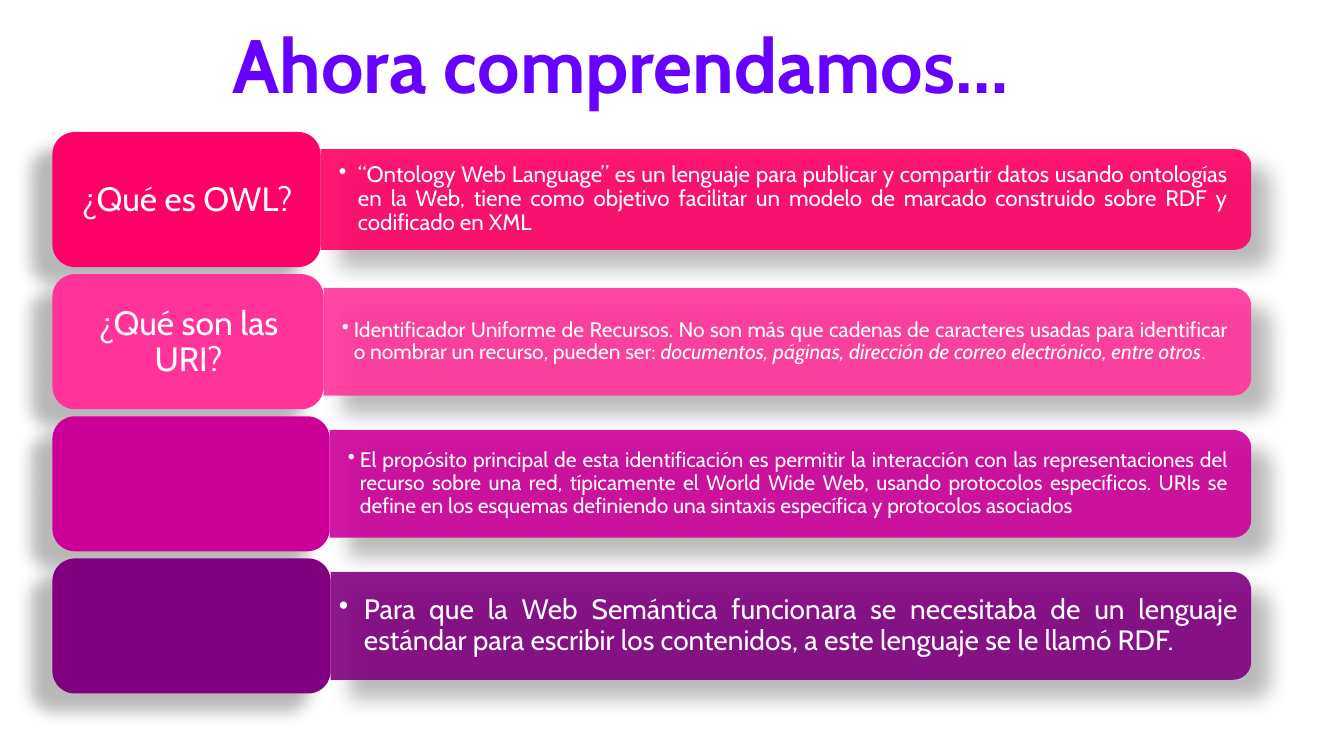
from pptx import Presentation
from pptx.dml.color import RGBColor
from pptx.enum.shapes import MSO_SHAPE
from pptx.enum.text import MSO_ANCHOR, MSO_AUTO_SIZE, PP_ALIGN
from pptx.oxml import parse_xml
from pptx.oxml.ns import nsdecls, qn
from pptx.util import Inches, Pt

LEFT, RIGHT = 0.52, 12.41
FIRST, STEP = 1.98, 1.41
TALL = 1.34
ROWS = [
    ("FF0066", 2.66, 1.0, "¿Qué es OWL?", 16, 0.19, 0.18,
     ["“Ontology Web Language” es un lenguaje para publicar y compartir datos usando "
      "ontologías en la Web, tiene como objetivo facilitar un modelo de marcado "
      "construido sobre RDF y codificado en XML"]),
    ("FF3399", 2.69, 1.07, "¿Qué son las URI?", 15, 0.12, 0.18,
     ["Identificador Uniforme de Recursos. No son más que cadenas de caracteres usadas "
      "para identificar o nombrar un recurso, pueden ser: ",
      "documentos, páginas, dirección de correo electrónico, entre otros",
      "."]),
    ("CC0099", 2.75, 1.07, "", 15, 0.12, 0.18,
     ["El propósito principal de esta identificación es permitir la interacción con las "
      "representaciones del recurso sobre una red, típicamente el World Wide Web, usando "
      "protocolos específicos. URIs se define en los esquemas definiendo una sintaxis "
      "específica y protocolos asociados"]),
    ("800080", 2.76, 1.07, "", 20, 0.25, 0.08,
     ["Para que la Web Semántica funcionara se necesitaba de un lenguaje estándar para "
      "escribir los contenidos, a este lenguaje se le llamó RDF. "]),
]


def color(code):
    return RGBColor.from_string(code)


def add_block(slide, kind, box, fill, shadow, alpha=100, turn=0):
    shape = slide.shapes.add_shape(kind, *map(Inches, box))
    shape.rotation = turn
    shape.fill.solid()
    shape.fill.fore_color.rgb = color(fill)
    shape.line.fill.background()
    shape.shadow.inherit = False
    if alpha < 100:
        tint = shape._element.spPr.find(qn("a:solidFill"))[0]
        tint.append(parse_xml(f'<a:alpha {nsdecls("a")} val="{alpha * 1000}"/>'))
    shade, blur, dist, angle = shadow
    shape._element.spPr.find(qn("a:effectLst")).append(parse_xml(
        f'<a:outerShdw {nsdecls("a")} blurRad="{Pt(blur)}" dist="{Pt(dist)}" '
        f'dir="{angle * 60000}" rotWithShape="0"><a:srgbClr val="000000">'
        f'<a:alpha val="{shade * 1000}"/></a:srgbClr></a:outerShdw>'))


def add_text(slide, box, parts, size, align, fill="FFFFFF", inset=0.0, hang=0.0):
    frame = slide.shapes.add_textbox(*map(Inches, box)).text_frame
    frame.word_wrap = True
    frame.vertical_anchor = MSO_ANCHOR.MIDDLE
    frame.margin_left = frame.margin_right = Inches(inset)
    frame.margin_top = frame.margin_bottom = Inches(inset / 2)
    para = frame.paragraphs[0]
    para.alignment = align
    para.line_spacing = 0.9
    if hang:
        para.level = 1
        props = para._p.get_or_add_pPr()
        props.set("marL", str(Inches(hang)))
        props.set("indent", str(-Inches(hang)))
        props.append(parse_xml(f'<a:buChar {nsdecls("a")} char="•"/>'))
    para.font.name = "Cabin"
    para.font.size = Pt(size)
    para.font.color.rgb = color(fill)
    for place, part in enumerate(parts):
        run = para.add_run()
        run.text = part
        if place == 1:
            run.font.italic = True
    return frame


def add_title(slide):
    frame = add_text(slide, (1.81, 0.13, 8.69, 1.01), ["Ahora comprendamos…"], 54,
                     PP_ALIGN.CENTER, "6600FF", 0.1)
    frame.word_wrap = False
    frame.auto_size = MSO_AUTO_SIZE.SHAPE_TO_FIT_TEXT
    frame.vertical_anchor = MSO_ANCHOR.TOP
    para = frame.paragraphs[0]
    para.line_spacing = 1.0
    para.font.bold = True
    para._p.pPr.find(qn("a:defRPr")).insert(0, parse_xml(
        f'<a:ln {nsdecls("a")} w="{Pt(0.75)}"><a:solidFill>'
        '<a:srgbClr val="CC00FF"/></a:solidFill></a:ln>'))


def add_row(slide, mid, fill, width, high, label, size, hang, inset, parts):
    edge = LEFT + width
    span = RIGHT - edge
    bar = (edge + span / 2 - high / 2, mid - span / 2, high, span)
    add_block(slide, MSO_SHAPE.ROUND_2_SAME_RECTANGLE, bar, fill,
              (30, 15, 18, 45), 90, 90)
    add_text(slide, (edge, mid - high / 2 + 0.05, span - 0.05, high - 0.1), parts,
             size, PP_ALIGN.JUSTIFY, inset=inset, hang=hang)
    add_block(slide, MSO_SHAPE.ROUNDED_RECTANGLE, (LEFT, mid - TALL / 2, width, TALL),
              fill, (28, 11.8, 19.7, 141))
    if label:
        add_text(slide, (LEFT + 0.07, mid - 0.6, width - 0.13, 1.21), [label], 24,
                 PP_ALIGN.CENTER, inset=0.1)


def main():
    deck = Presentation()
    deck.slide_width, deck.slide_height = Inches(13.33), Inches(7.5)
    slide = deck.slides.add_slide(deck.slide_layouts[6])
    add_title(slide)
    for place, row in enumerate(ROWS):
        add_row(slide, FIRST + place * STEP, *row)
    deck.save("out.pptx")


if __name__ == "__main__":
    main()
